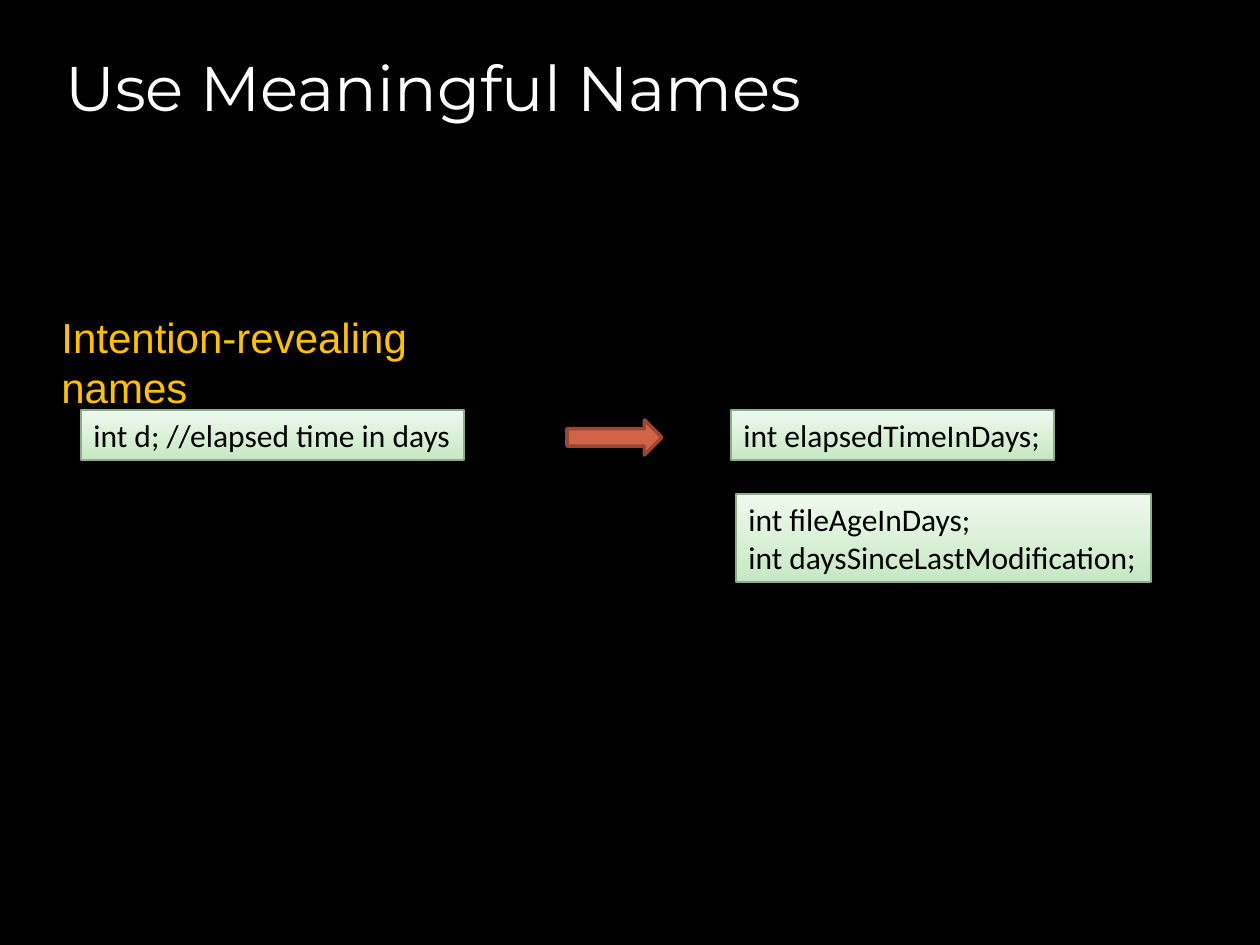
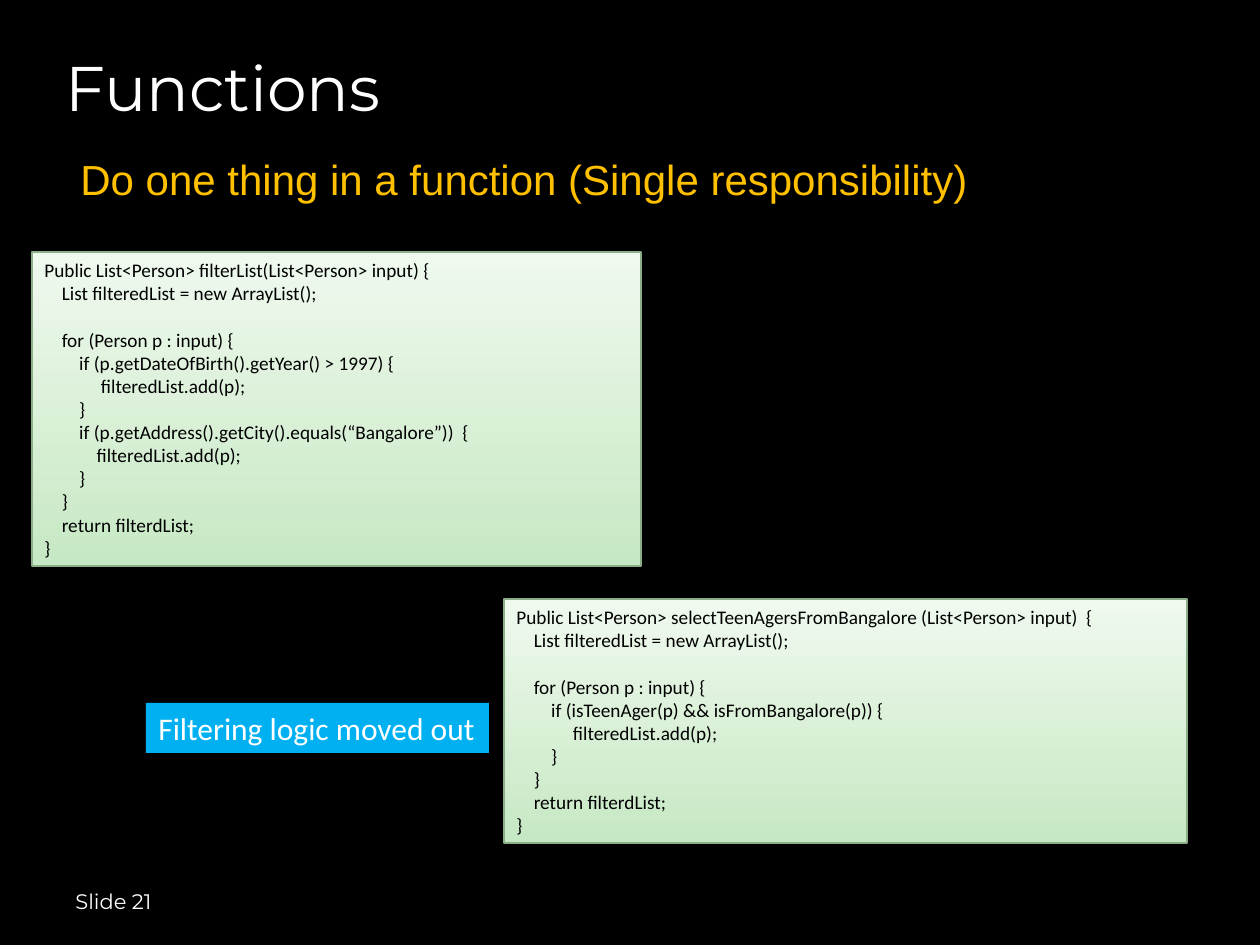
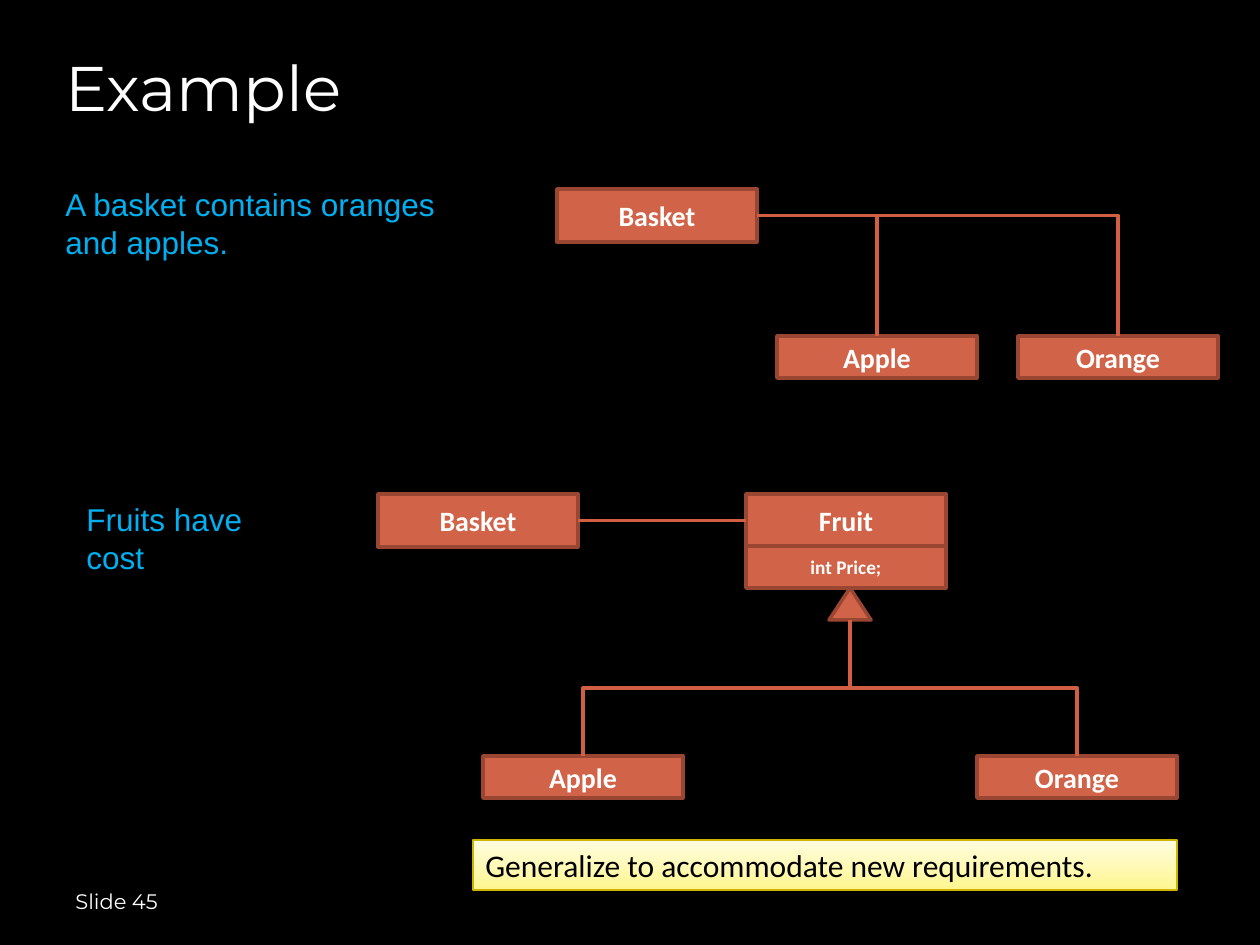
from lxml.etree import SubElement
from pptx import Presentation
from pptx.dml.color import RGBColor
from pptx.enum.shapes import MSO_CONNECTOR as CONN, MSO_SHAPE as SHAPE
from pptx.enum.text import MSO_ANCHOR as ANCHOR, PP_ALIGN as ALIGN
from pptx.oxml.ns import qn
from pptx.util import Pt

PX = 914400 / 126  # one px in EMU

# Shared colours: gradients run from bottom to top
BLACK, WHITE = "000000", "FFFFFF"
AMBER, SKY = "FFC000", "00B0F0"
BRICK, BRICK_EDGE, LINK = "D16349", "994733", "D05F44"
GREEN, GREEN_EDGE = ("C7E8C4", "EFF9EE"), "8BAD88"
YELLOW, YELLOW_EDGE = ("FFF690", "FFFDE0"), "CCB400"

# Shared text styles
TITLE = dict(name="Montserrat", size=Pt(36), color=WHITE)
FOOTER = dict(name="Montserrat", size=Pt(12), color=WHITE)
HEADING = dict(name="Arial", size=Pt(24), color=AMBER)
REMARK = dict(name="Arial", size=Pt(18), color=SKY)
SNIPPET = dict(name="Calibri", size=Pt(18), color=BLACK)
LISTING = dict(SNIPPET, size=Pt(11))
LABEL = dict(SNIPPET, color=WHITE)
NODE = dict(name="Calibri", size=Pt(16), color=WHITE, bold=True)
MEMBER = dict(NODE, size=Pt(11))
BLANK_LINE = Pt(13.4)

NODE_W, CLASS_H, LEAF_H = 200, 53, 42

FILTER_LIST = """Public List<Person> filterList(List<Person> input) {
    List filteredList = new ArrayList();

    for (Person p : input) {
        if (p.getDateOfBirth().getYear() > 1997) {
             filteredList.add(p);
        }
        if (p.getAddress().getCity().equals(“Bangalore”))  {
            filteredList.add(p);
        }
    }
    return filterdList;
}"""

SELECT_TEENAGERS = """Public List<Person> selectTeenAgersFromBangalore (List<Person> input)  {
    List filteredList = new ArrayList();

    for (Person p : input) {
        if (isTeenAger(p) && isFromBangalore(p)) {
             filteredList.add(p);
        }
    }
    return filterdList;
}"""


def rgb(value):
    return RGBColor.from_string(value)


def emu(*lengths):
    return [round(v * PX) for v in lengths]


def write(s, text, style, align=ALIGN.LEFT, anchor=ANCHOR.TOP, wrap=True):
    """Put text in a shape, one paragraph a line; an empty line becomes a gap."""
    tf = s.text_frame
    tf.word_wrap, tf.vertical_anchor = wrap, anchor
    p, gap = tf.paragraphs[0], False
    for i, line in enumerate(text.split("\n")):
        if not line:
            gap = True
            continue
        if i:
            p = tf.add_paragraph()
        if gap:
            p.space_before, gap = BLANK_LINE, False
        p.alignment = align
        r = p.add_run()
        r.text = line
        for key, value in style.items():
            if key == "color":
                r.font.color.rgb = rgb(value)
            else:
                setattr(r.font, key, value)


def text_box(slide, box, text, style, **layout):
    write(slide.shapes.add_textbox(*emu(*box)), text, style, **layout)


def shape(slide, kind, box, fill, edge=None, weight=2):
    """Draw a preset shape; a pair of colours gives a vertical gradient."""
    s = slide.shapes.add_shape(kind, *emu(*box))
    s.shadow.inherit = False
    if isinstance(fill, tuple):
        s.fill.gradient()
        s.fill.gradient_angle = 90
        for stop, colour in zip(s.fill.gradient_stops, fill):
            stop.color.rgb = rgb(colour)
    else:
        s.fill.solid()
        s.fill.fore_color.rgb = rgb(fill)
    if edge:
        s.line.color.rgb = rgb(edge)
        s.line.width = Pt(weight)
    else:
        s.line.fill.background()
    return s


def code_box(slide, box, text, style=SNIPPET, wrap=True):
    s = shape(slide, SHAPE.RECTANGLE, box, GREEN, GREEN_EDGE, 0.75)
    write(s, text, style, wrap=wrap)


def node(slide, x, y, text, h=CLASS_H, style=NODE):
    s = shape(slide, SHAPE.RECTANGLE, (x, y, NODE_W, h), BRICK, BRICK_EDGE)
    write(s, text, style, ALIGN.CENTER, ANCHOR.MIDDLE)
    return s


def link(slide, kind, *ends):
    c = slide.shapes.add_connector(kind, *[round(v) for v in ends])
    c.line.color.rgb = rgb(LINK)
    c.line.width = Pt(2.25)
    SubElement(c._element.spPr, qn("a:effectLst"))
    return c


def top_middle(s):
    return s.left + s.width / 2, s.top


def contain(slide, owner, part):
    """One bend: out of the owner's right side, down to the part's top."""
    start = owner.left + owner.width, owner.top + owner.height / 2
    c = link(slide, CONN.ELBOW, *start, *top_middle(part))
    c._element.spPr.find(qn("a:prstGeom")).set("prst", "bentConnector2")


def inherit(slide, triangle, child):
    """Two bends: down, across and down, as a turned elbow connector."""
    x1, y1 = triangle.left + triangle.width / 2, triangle.top + triangle.height
    x2, y2 = top_middle(child)
    cx, cy = (x1 + x2) / 2, (y1 + y2) / 2
    rightward = x2 > x1
    half_w = (y2 - y1) / 2 * (-1 if rightward else 1)
    half_h = abs(x2 - x1) / 2
    c = link(slide, CONN.ELBOW, cx - half_w, cy - half_h, cx + half_w, cy + half_h)
    degrees = 270 if rightward else 90
    c._element.spPr.find(qn("a:xfrm")).set("rot", str(degrees * 60000))


def new_slide(prs, title, number=None):
    slide = prs.slides.add_slide(prs.slide_layouts[6])
    slide.background.fill.solid()
    slide.background.fill.fore_color.rgb = rgb(BLACK)
    text_box(slide, (53, 42, 1134, 88), title, TITLE, anchor=ANCHOR.MIDDLE)
    if number:
        text_box(slide, (63, 876, 294, 50), f"Slide {number}", FOOTER,
                 anchor=ANCHOR.MIDDLE)
    return slide


def names_slide(prs):
    slide = new_slide(prs, "Use Meaningful Names")
    text_box(slide, (49, 305, 508, 63), "Intention-revealing names", HEADING, wrap=False)
    code_box(slide, (81, 410, 383, 50), "int d; //elapsed time in days", wrap=False)
    shape(slide, SHAPE.RIGHT_ARROW, (567, 420, 95, 35), BRICK, BRICK_EDGE)
    code_box(slide, (731, 410, 323, 50), "int elapsedTimeInDays;", wrap=False)
    code_box(slide, (736, 494, 415, 88),
             "int fileAgeInDays;\nint daysSinceLastModification;", wrap=False)


def functions_slide(prs):
    slide = new_slide(prs, "Functions", 21)
    text_box(slide, (68, 147, 912, 63),
             "Do one thing in a function (Single responsibility)", HEADING, wrap=False)
    code_box(slide, (32, 252, 609, 314), FILTER_LIST, LISTING)
    code_box(slide, (504, 599, 683, 244), SELECT_TEENAGERS, LISTING)
    label = shape(slide, SHAPE.RECTANGLE, (146, 703, 343, 50), SKY)
    write(label, "Filtering logic moved out", LABEL, wrap=False)


def example_slide(prs):
    slide = new_slide(prs, "Example", 45)

    # Basket holding each kind of fruit
    text_box(slide, (53, 179, 441, 88), "A basket contains oranges and apples.", REMARK)
    basket = node(slide, 557, 189, "Basket")
    for x, fruit_name in ((777, "Apple"), (1018, "Orange")):
        contain(slide, basket, node(slide, x, 336, fruit_name, LEAF_H))

    # Basket holding a general fruit
    text_box(slide, (74, 494, 247, 50), "Fruits have cost", REMARK, wrap=False)
    basket = node(slide, 378, 494, "Basket")
    fruit = node(slide, 746, 494, "Fruit")
    holds = link(slide, CONN.STRAIGHT, 0, 0, 0, 0)
    holds.begin_connect(basket, 3)
    holds.end_connect(fruit, 1)

    # Kinds of fruit
    triangle = shape(slide, SHAPE.ISOSCELES_TRIANGLE, (829, 588, 42, 32),
                     BRICK, BRICK_EDGE)
    for x, fruit_name in ((483, "Apple"), (977, "Orange")):
        inherit(slide, triangle, node(slide, x, 756, fruit_name, LEAF_H))
    node(slide, 746, 546, "int Price;", LEAF_H, MEMBER)

    # Conclusion
    note = shape(slide, SHAPE.RECTANGLE, (473, 840, 704, 50), YELLOW, YELLOW_EDGE, 0.75)
    write(note, "Generalize to accommodate new requirements.", SNIPPET)


def main():
    prs = Presentation()
    prs.slide_width, prs.slide_height = emu(1260, 945)
    names_slide(prs)
    functions_slide(prs)
    example_slide(prs)
    prs.save("out.pptx")


if __name__ == "__main__":
    main()
